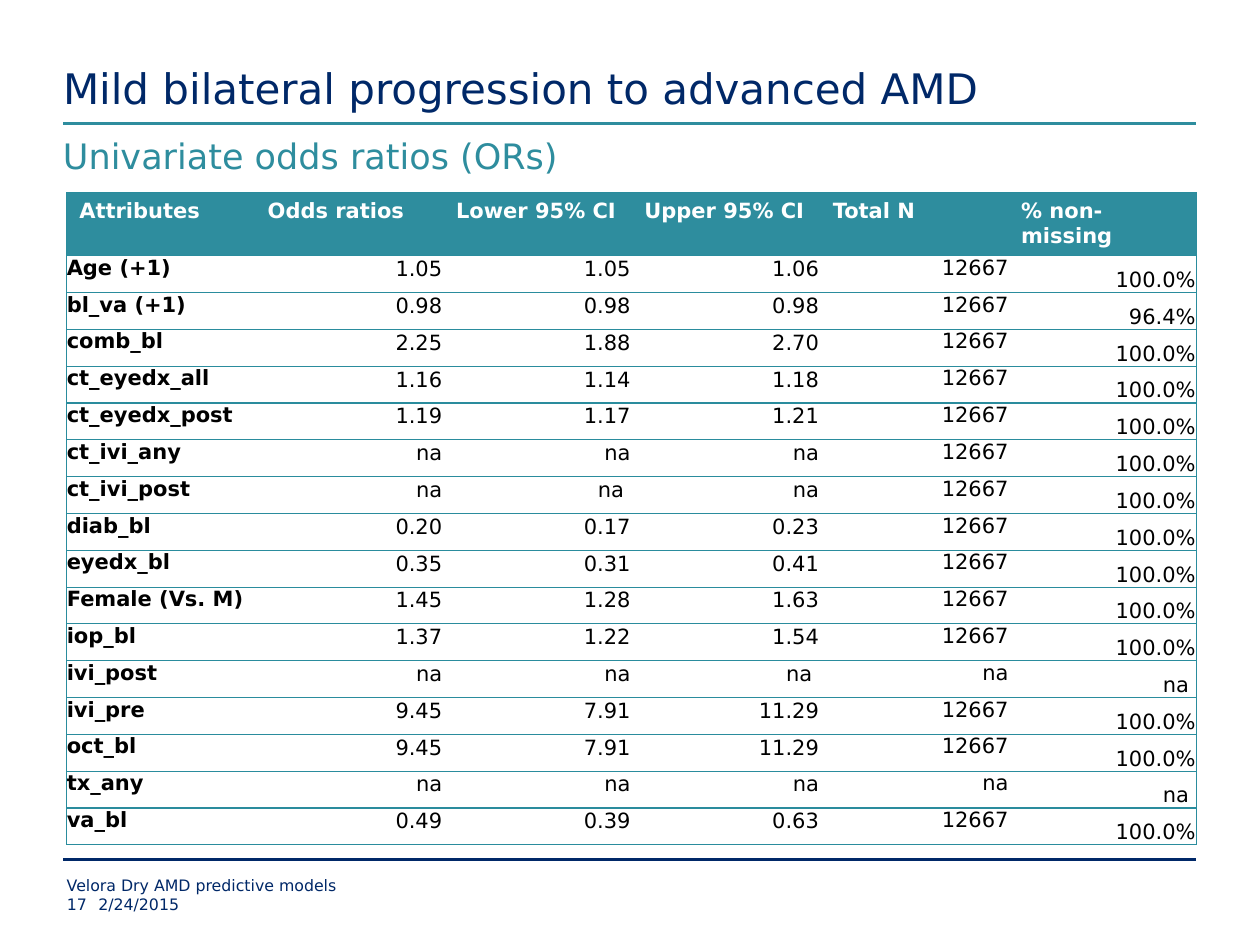
"""Build a slide with a table of univariate odds ratios."""
import pptx
import pptx.util
import pptx.dml.color
import pptx.enum.shapes
import pptx.enum.text
import pptx.oxml
import pptx.oxml.ns
import lxml.etree

Inches = pptx.util.Inches
Pt = pptx.util.Pt
ALIGN = pptx.enum.text.PP_ALIGN
ANCHOR = pptx.enum.text.MSO_ANCHOR
NAVY, TEAL, EDGE = "002868", "2E8D9E", "2A8C9D"


def paint(hue):
    return pptx.dml.color.RGBColor.from_string(hue)


def write(frame, text, size, hue, bold=False, align=ALIGN.LEFT):
    frame.text = text
    frame.word_wrap = True
    para = frame.paragraphs[0]
    para.alignment = align
    font = para.font
    font.name = "DejaVu Sans"
    font.size = Pt(size)
    font.bold = bold
    font.color.rgb = paint(hue)


deck = pptx.Presentation()
deck.slide_width, deck.slide_height = Inches(10), Inches(7.5)
slide = deck.slides.add_slide(deck.slide_layouts[5])
shapes = slide.shapes

for y, hue in [(0.98, TEAL), (6.82, NAVY)]:
    rule = shapes.add_connector(
        pptx.enum.shapes.MSO_CONNECTOR.STRAIGHT,
        Inches(0.5), Inches(y), Inches(9.49), Inches(y))
    rule.line.color.rgb = paint(hue)
    rule.line.width = Pt(1.5)
    lxml.etree.SubElement(
        rule.element.spPr, pptx.oxml.ns.qn("a:effectLst"))

title = shapes.title
title.left, title.top = Inches(0.5), Inches(0)
title.width, title.height = Inches(9), Inches(0.9)
write(title.text_frame, "Mild bilateral progression to advanced AMD", 24, NAVY)
title.text_frame.auto_size = pptx.enum.text.MSO_AUTO_SIZE.NONE
title.text_frame.vertical_anchor = ANCHOR.BOTTOM

boxes = [title]
for text, x, y, wide, high, size, hue in [
    ("Univariate odds ratios (ORs)", 0.5, 1.07, 9, 0.49, 20, TEAL),
    ("Velora Dry AMD predictive models", 0.53, 6.95, 7.5, 0.15, 9, NAVY),
    ("17", 0.53, 7.1, 0.25, 0.15, 9, NAVY),
    ("2/24/2015", 0.78, 7.1, 7.25, 0.15, 9, NAVY),
]:
    box = shapes.add_textbox(Inches(x), Inches(y), Inches(wide), Inches(high))
    write(box.text_frame, text, size, hue)
    boxes.append(box)
for box in boxes:
    frame = box.text_frame
    frame.margin_left = frame.margin_right = 0
    frame.margin_top = frame.margin_bottom = 0

rows = [
    ("Attributes", "Odds ratios", "Lower 95% CI", "Upper 95% CI", "Total N",
     "% non-missing"),
    ("Age (+1)", "1.05", "1.05", "1.06", "12667", "100.0%"),
    ("bl_va (+1)", "0.98", "0.98", "0.98", "12667", "96.4%"),
    ("comb_bl", "2.25", "1.88", "2.70", "12667", "100.0%"),
    ("ct_eyedx_all", "1.16", "1.14", "1.18", "12667", "100.0%"),
    ("ct_eyedx_post", "1.19", "1.17", "1.21", "12667", "100.0%"),
    ("ct_ivi_any", "na", "na", "na", "12667", "100.0%"),
    ("ct_ivi_post", "na", "na ", "na", "12667", "100.0%"),
    ("diab_bl", "0.20", "0.17", "0.23", "12667", "100.0%"),
    ("eyedx_bl", "0.35", "0.31", "0.41", "12667", "100.0%"),
    ("Female (Vs. M)", "1.45", "1.28", "1.63", "12667", "100.0%"),
    ("iop_bl", "1.37", "1.22", "1.54", "12667", "100.0%"),
    ("ivi_post", "na", "na", "na ", "na", "na "),
    ("ivi_pre", "9.45", "7.91", "11.29", "12667", "100.0%"),
    ("oct_bl", "9.45", "7.91", "11.29", "12667", "100.0%"),
    ("tx_any", "na", "na", "na", "na", "na "),
    ("va_bl", "0.49", "0.39", "0.63", "12667", "100.0%"),
]
last = len(rows[0]) - 1
table = shapes.add_table(
    len(rows), len(rows[0]), Inches(0.53), Inches(1.53),
    Inches(8.97), Inches(5.17)).table
table.horz_banding = False
for r, row in enumerate(rows):
    head = r == 0
    table.rows[r].height = Inches(0.49) if head else Inches(4.68 / 16)
    for c, text in enumerate(row):
        cell = table.cell(r, c)
        left = head or c == 0
        write(cell.text_frame, text, 12, "FFFFFF" if head else "000000",
              left, ALIGN.LEFT if left else ALIGN.RIGHT)
        if head:
            cell.fill.solid()
            cell.fill.fore_color.rgb = paint(TEAL)
        else:
            cell.fill.background()
            side = Inches(0 if c in (0, 4) else 0.01)
            cell.margin_left = cell.margin_right = cell.margin_top = side
            cell.margin_bottom = 0
            if c == last:
                cell.vertical_anchor = ANCHOR.BOTTOM
        props = cell._tc.get_or_add_tcPr()
        sides = [("L", c == 0), ("R", c == last), ("T", True), ("B", True)]
        for i, (side, shown) in enumerate(sides):
            fill = (f'<a:solidFill><a:srgbClr val="{EDGE}"/></a:solidFill>'
                    if shown else "<a:noFill/>")
            props.insert(i, pptx.oxml.parse_xml(
                f'<a:ln{side} {pptx.oxml.ns.nsdecls("a")} w="9525">'
                f'{fill}</a:ln{side}>'))

deck.save("out.pptx")
